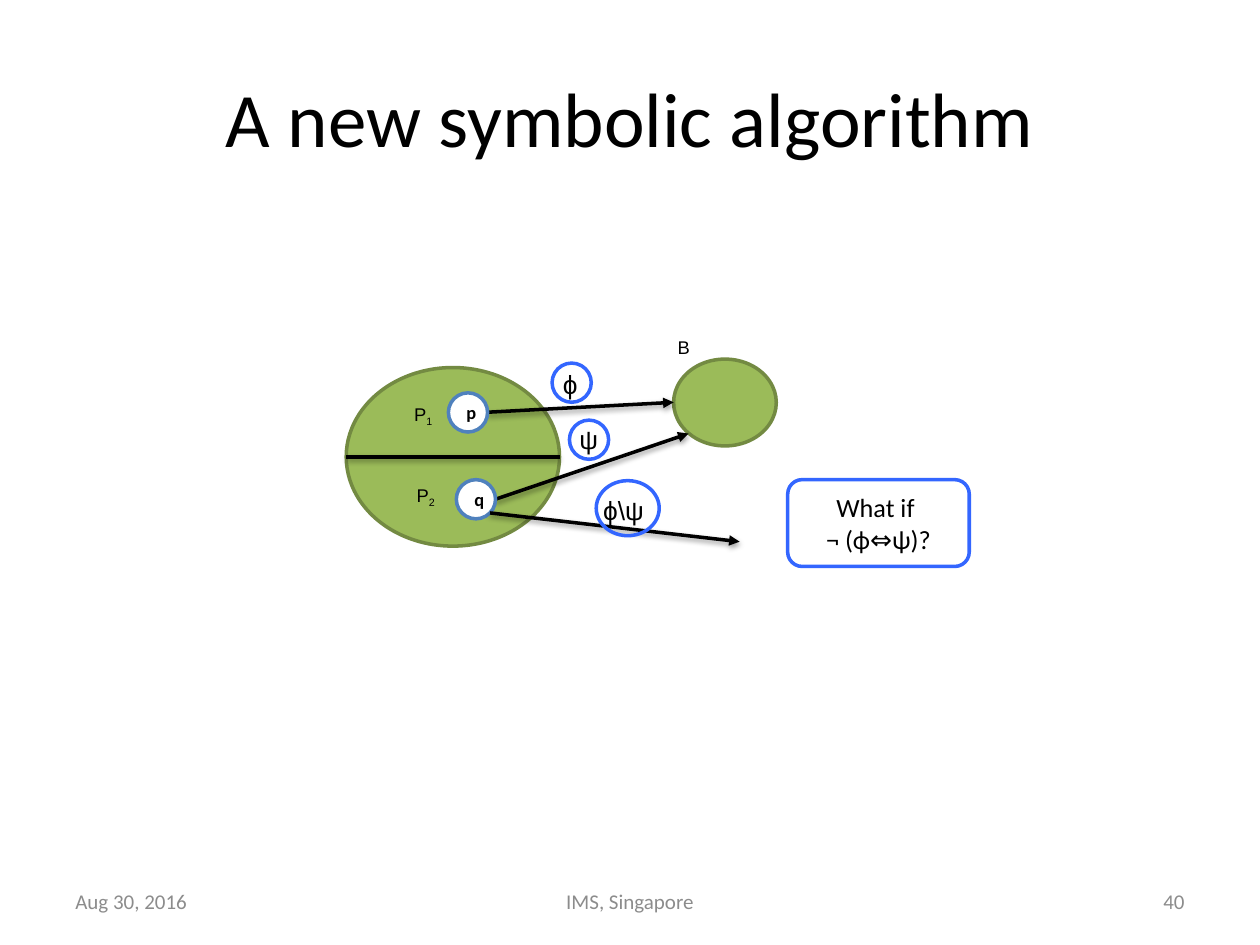
from dataclasses import dataclass

from lxml import etree
from pptx import Presentation
from pptx.dml.color import RGBColor
from pptx.enum.shapes import MSO_CONNECTOR, MSO_SHAPE
from pptx.enum.text import MSO_ANCHOR, PP_ALIGN
from pptx.oxml.ns import qn
from pptx.util import Cm, Pt

ELLIPSE = MSO_SHAPE.OVAL
ROUNDED = MSO_SHAPE.ROUNDED_RECTANGLE
STRAIGHT = MSO_CONNECTOR.STRAIGHT
LEFT, CENTER, RIGHT = PP_ALIGN.LEFT, PP_ALIGN.CENTER, PP_ALIGN.RIGHT
TOP, MIDDLE = MSO_ANCHOR.TOP, MSO_ANCHOR.MIDDLE


@dataclass(frozen=True)
class Theme:
    """Hold the fonts, colours and sizes of the slide."""
    body_font: str = "Calibri"
    label_font: str = "Arial"
    black: str = "000000"
    white: str = "FFFFFF"
    gray: str = "8C8C8C"
    green: str = "9BBB59"
    dark_green: str = "738A42"
    steel: str = "4F81BD"
    blue: str = "3366FF"
    title_size: float = 44
    formula_size: float = 15
    footer_size: float = 12
    label_size: float = 10.5
    line_width: float = 2


THEME = Theme()


def add_run(paragraph, text, size, font, color=THEME.black, bold=False):
    """Append one styled run and return it."""
    run = paragraph.add_run()
    run.text = text
    run.font.size = Pt(size)
    run.font.name = font
    run.font.bold = bold
    run.font.color.rgb = RGBColor.from_string(color)
    return run


def prepare_paragraph(shape, align, anchor):
    """Set up the text frame of a shape and return its first paragraph."""
    frame = shape.text_frame
    frame.word_wrap = True
    frame.vertical_anchor = anchor
    paragraph = frame.paragraphs[0]
    paragraph.alignment = align
    return paragraph


def add_text(slide, box, text, size, font, color=THEME.black, align=LEFT, anchor=TOP):
    """Add a one-line text box and return its paragraph."""
    shape = slide.shapes.add_textbox(*map(Cm, box))
    paragraph = prepare_paragraph(shape, align, anchor)
    add_run(paragraph, text, size, font, color)
    return paragraph


def add_label(slide, left, top, text, subscript=""):
    """Add a small set label with an optional subscript."""
    box = (left, top, 1.12, 0.71)
    paragraph = add_text(slide, box, text, THEME.label_size, THEME.label_font)
    if subscript:
        run = add_run(paragraph, subscript, THEME.label_size, THEME.label_font)
        run._r.get_or_add_rPr().set("baseline", "-25000")


def add_formula(slide, left, top, width, text):
    """Add the formula that labels a transition."""
    add_text(slide, (left, top, width, 0.89), text, THEME.formula_size, THEME.label_font)


def add_outlined(slide, kind, box, line_color, fill_color=None):
    """Add an outlined preset shape, hollow unless a fill is given."""
    shape = slide.shapes.add_shape(kind, *map(Cm, box))
    shape.shadow.inherit = False
    if fill_color:
        shape.fill.solid()
        shape.fill.fore_color.rgb = RGBColor.from_string(fill_color)
    else:
        shape.fill.background()
    shape.line.color.rgb = RGBColor.from_string(line_color)
    shape.line.width = Pt(THEME.line_width)
    return shape


def add_state(slide, left, top, name):
    """Add a white circle with the name of a state."""
    shape = add_outlined(slide, ELLIPSE, (left, top, 0.79, 0.79), THEME.steel, THEME.white)
    paragraph = prepare_paragraph(shape, CENTER, MIDDLE)
    add_run(paragraph, name, THEME.label_size, THEME.body_font, bold=True)


def add_question(slide, box, lines):
    """Add the rounded box that holds the question."""
    shape = add_outlined(slide, ROUNDED, box, THEME.blue, THEME.white)
    paragraph = prepare_paragraph(shape, CENTER, MIDDLE)
    for index, line in enumerate(lines):
        if index:
            paragraph.add_line_break()
        add_run(paragraph, line, THEME.formula_size, THEME.body_font)


def add_line(slide, start, end, arrow=True):
    """Add a black line with a soft shadow and an optional arrowhead."""
    connector = slide.shapes.add_connector(STRAIGHT, *map(Cm, start + end))
    connector.line.color.rgb = RGBColor.from_string(THEME.black)
    connector.line.width = Pt(THEME.line_width)
    if arrow:
        etree.SubElement(connector.line._get_or_add_ln(), qn("a:tailEnd"), type="triangle")
    effects = etree.SubElement(connector._element.spPr, qn("a:effectLst"))
    shadow = etree.SubElement(effects, qn("a:outerShdw"), blurRad="40000", dist="20000",
                              dir="5400000", rotWithShape="0")
    color = etree.SubElement(shadow, qn("a:srgbClr"), val=THEME.black)
    etree.SubElement(color, qn("a:alpha"), val="38000")


def add_footer(slide, left, width, text, align):
    """Add one part of the footer."""
    add_text(slide, (left, 17.65, width, 1.02), text, THEME.footer_size,
             THEME.body_font, THEME.gray, align, MIDDLE)


def add_diagram(slide):
    """Draw the split block, its target and the transitions between them."""
    add_outlined(slide, ELLIPSE, (6.98, 7.41, 4.3, 3.6), THEME.dark_green, THEME.green)
    add_outlined(slide, ELLIPSE, (13.58, 7.24, 2.07, 1.75), THEME.dark_green, THEME.green)
    add_line(slide, (9.83, 8.31), (13.58, 8.11))
    add_line(slide, (10, 10.06), (13.88, 8.74))
    add_formula(slide, 11.1, 7.29, 2.06, "ϕ")
    add_formula(slide, 11.43, 8.41, 1.42, "ψ")
    add_line(slide, (6.98, 9.21), (11.28, 9.21), arrow=False)
    add_label(slide, 13.41, 6.65, "B")
    add_label(slide, 8.1, 8, "P", "1")
    add_label(slide, 8.15, 9.63, "P", "2")
    add_state(slide, 9.04, 7.92, "p")
    add_state(slide, 9.2, 9.67, "q")
    add_question(slide, (15.88, 9.67, 3.66, 1.75), ("What if ", "¬ (ϕ⇔ψ)?"))
    add_line(slide, (9.88, 10.34), (14.91, 10.92))
    add_formula(slide, 11.91, 9.83, 2.24, "ϕ\\ψ")
    for ring in ((12.02, 9.69, 1.27, 1.11), (11.13, 7.32, 0.79, 0.79), (11.48, 8.47, 0.79, 0.79)):
        add_outlined(slide, ELLIPSE, ring, THEME.blue)


def main():
    """Build the slide and save it."""
    presentation = Presentation()
    presentation.slide_width = Cm(25.4)
    presentation.slide_height = Cm(19.05)
    slide = presentation.slides.add_slide(presentation.slide_layouts[6])
    add_text(slide, (1.27, 0.76, 22.86, 3.18), "A new symbolic algorithm",
             THEME.title_size, THEME.body_font, align=CENTER, anchor=MIDDLE)
    add_diagram(slide)
    add_footer(slide, 1.27, 5.93, "Aug 30, 2016", LEFT)
    add_footer(slide, 8.68, 8.04, "IMS, Singapore", CENTER)
    add_footer(slide, 18.2, 5.93, "40", RIGHT)
    presentation.save("out.pptx")


if __name__ == "__main__":
    main()
